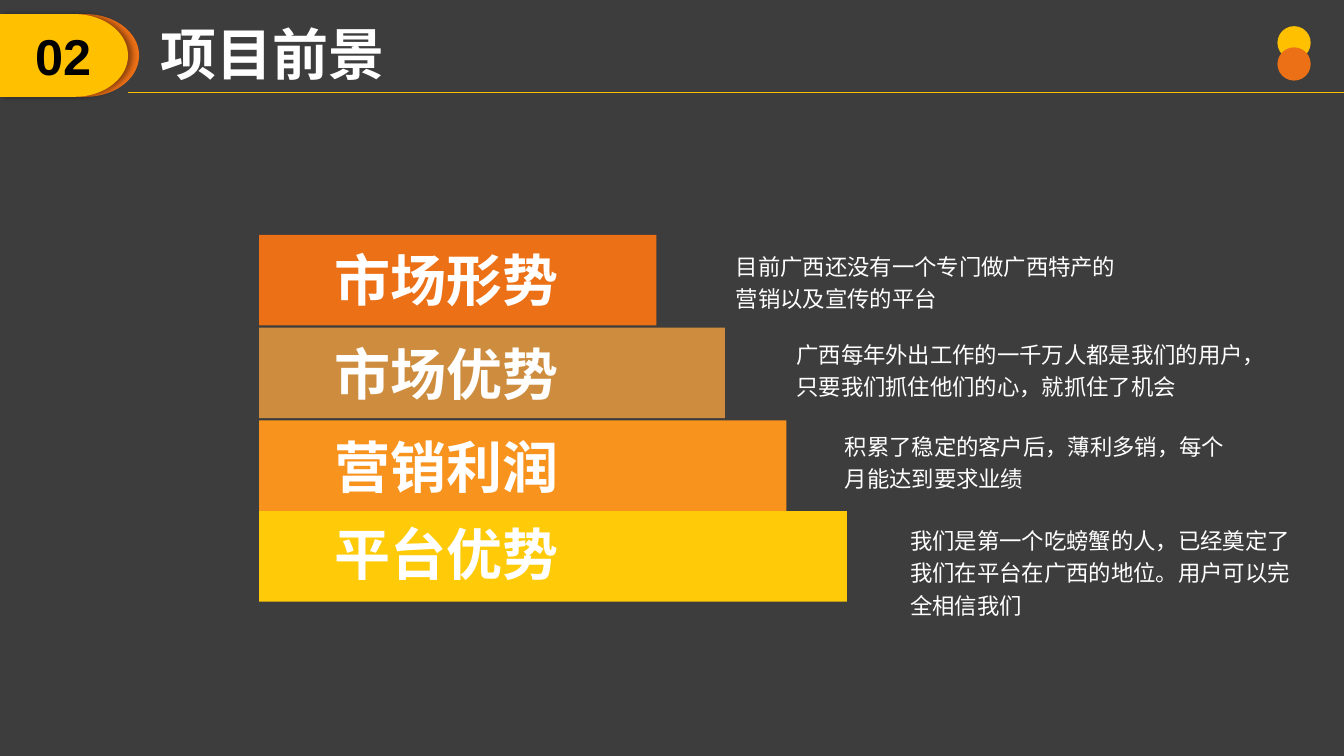
import math

from lxml import etree
from pptx import Presentation
from pptx import util as u
from pptx.dml.color import RGBColor
from pptx.enum import shapes, text
from pptx.oxml import ns

FONT = "Arial"
WHITE, BLACK, BACKDROP = "FFFFFF", "000000", "3D3D3D"
GOLD, ORANGE = "FFC000", "EC7016"
BAR_LEFT, BAR_HEIGHT, LABEL_LEFT = 2.57, 0.9, 3.22

# bar top, bar width, bar colour, label top, label, note box, note
STEPS = [
    (2.33, 3.94, ORANGE, 2.39, "市场形势", (7.2, 2.41, 4.15, 0.75),
     "目前广西还没有一个专门做广西特产的营销以及宣传的平台"),
    (3.25, 4.62, "CE8D3E", 3.32, "市场优势", (7.8, 3.28, 4.72, 0.75),
     "广西每年外出工作的一千万人都是我们的用户，只要我们抓住他们的心，就抓住了机会"),
    (4.17, 5.23, "F8931D", 4.24, "营销利润", (8.28, 4.19, 4.15, 0.75),
     "积累了稳定的客户后，薄利多销，每个月能达到要求业绩"),
    (5.07, 5.83, "FFCA08", 5.11, "平台优势", (8.93, 5.13, 4.15, 1.07),
     "我们是第一个吃螃蟹的人，已经奠定了我们在平台在广西的地位。用户可以完全相信我们"),
]


def rgb(value):
    """Turn a hex string into a colour."""
    return RGBColor.from_string(value)


def paint(sp, color):
    """Give a shape a flat fill with no outline or shadow."""
    sp.shadow.inherit = False
    sp.fill.solid()
    sp.fill.fore_color.rgb = rgb(color)
    sp.line.fill.background()
    return sp


def add_block(s, kind, box, color):
    """Add a flat preset shape; box is left, top, width, height."""
    return paint(s.shapes.add_shape(kind, *map(u.Inches, box)), color)


def add_tab(s, left, color):
    """Add a header tab whose right end is half an ellipse."""
    straight, rx, ry, middle = 0.74, 0.53, 0.41, 0.55
    angles = [math.radians(a) for a in range(-90, 91, 3)]
    curve = [(u.Inches(left + straight + rx * math.cos(a)),
              u.Inches(middle + ry * math.sin(a))) for a in angles]
    edge = u.Inches(left)
    builder = s.shapes.build_freeform(edge, u.Inches(middle - ry))
    builder.add_line_segments(curve + [(edge, u.Inches(middle + ry))])
    return paint(builder.convert_to_shape(), color)


def add_shadow(sp, color, opacity, blur, distance):
    """Cast a soft shadow to the right; opacity in percent, lengths in points."""
    effects = sp._element.spPr.find(ns.qn("a:effectLst"))
    shadow = etree.SubElement(effects, ns.qn("a:outerShdw"), blurRad=str(u.Pt(blur)),
                              dist=str(u.Pt(distance)), dir="0", algn="l",
                              rotWithShape="0")
    tint = etree.SubElement(shadow, ns.qn("a:srgbClr"), val=color)
    etree.SubElement(tint, ns.qn("a:alpha"), val=str(opacity * 1000))


def add_text(s, box, words, size, color=WHITE, bold=False, wrap=False, spacing=None):
    """Add a one-paragraph text box; box is left, top, width, height."""
    tf = s.shapes.add_textbox(*map(u.Inches, box)).text_frame
    tf.word_wrap = wrap
    tf.auto_size = text.MSO_AUTO_SIZE.SHAPE_TO_FIT_TEXT
    p = tf.paragraphs[0]
    p.text = words
    p.line_spacing = spacing
    p.font.name, p.font.size, p.font.bold = FONT, u.Pt(size), bold
    p.font.color.rgb = rgb(color)


def add_heading(s, left, top, words):
    """Add a large bold white heading of four characters."""
    add_text(s, (left, top, 2.42, 0.77), words, 40, bold=True)


def add_rule(s, left, right, y, color):
    """Add a thin horizontal line."""
    line = s.shapes.add_connector(shapes.MSO_CONNECTOR.STRAIGHT,
                                  *map(u.Inches, (left, y, right, y)))
    line.line.color.rgb = rgb(color)
    line.line.width = u.Pt(0.5)
    etree.SubElement(line._element.spPr, ns.qn("a:effectLst"))


def add_header(s):
    """Add the numbered tab, title, rule and corner dots."""
    add_tab(s, 0.11, ORANGE)
    add_shadow(add_tab(s, 0, GOLD), BLACK, 40, 4, 3)
    add_text(s, (0.25, 0.2, 0.76, 0.71), "02", 36, BLACK, bold=True)
    add_heading(s, 1.49, 0.14, "项目前景")
    add_rule(s, 1.27, 13.33, 0.92, GOLD)
    for top, color in ((0.26, GOLD), (0.47, ORANGE)):
        add_block(s, shapes.MSO_SHAPE.OVAL, (12.67, top, 0.33, 0.33), color)


def add_steps(s):
    """Add the stair of bars, then their labels and notes."""
    for top, width, color, *_ in STEPS:
        add_block(s, shapes.MSO_SHAPE.RECTANGLE, (BAR_LEFT, top, width, BAR_HEIGHT), color)
    for _, _, _, label_top, label, _, _ in STEPS:
        add_heading(s, LABEL_LEFT, label_top, label)
    for *_, box, note in STEPS:
        add_text(s, box, note, 16, wrap=True, spacing=1.2)


def main():
    """Build and save the slide."""
    prs = Presentation()
    prs.slide_width, prs.slide_height = u.Inches(13.33), u.Inches(7.5)
    s = prs.slides.add_slide(prs.slide_layouts[6])
    s.background.fill.solid()
    s.background.fill.fore_color.rgb = rgb(BACKDROP)
    add_header(s)
    add_steps(s)
    prs.save("out.pptx")


main()
